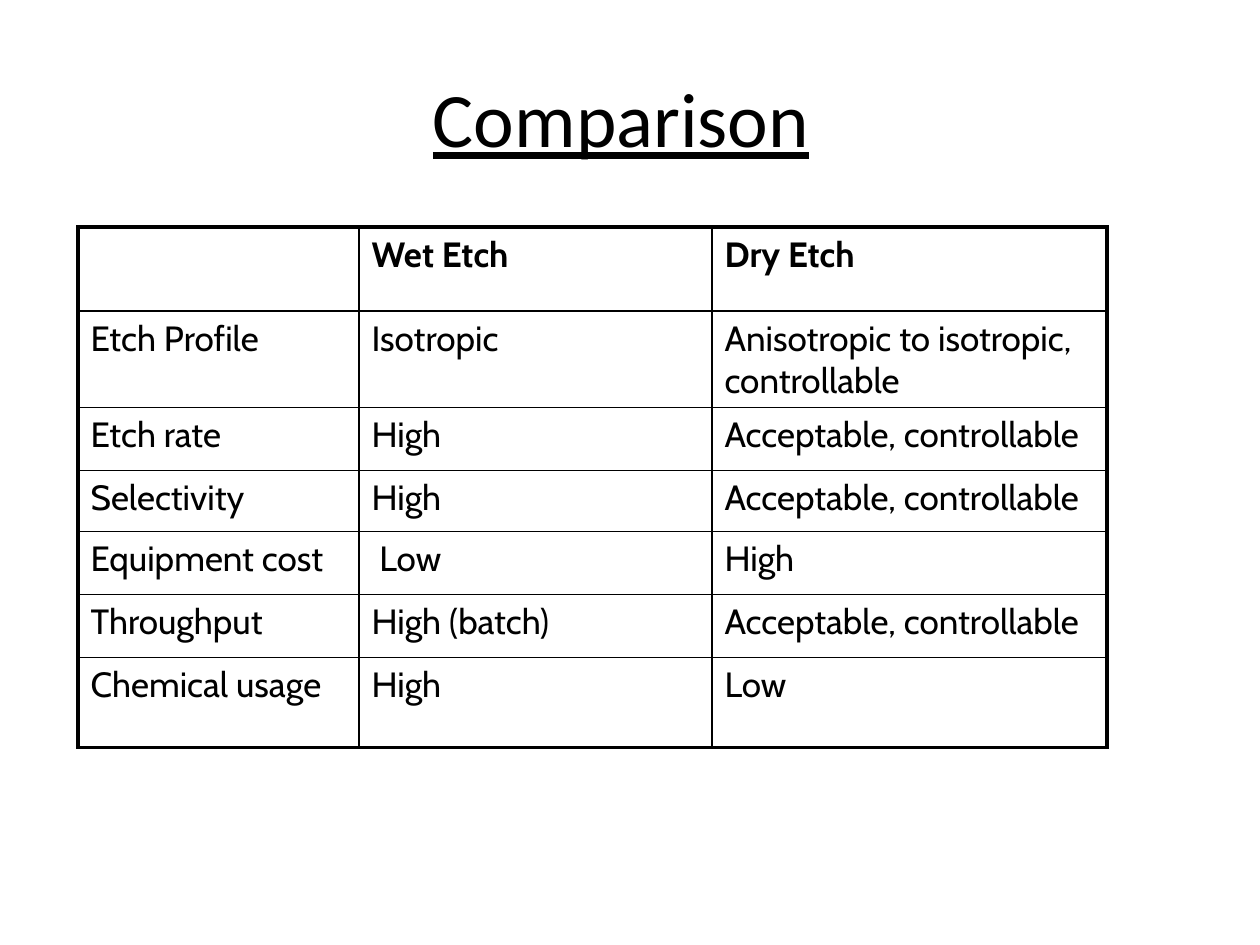
"""Build the slide that compares wet and dry etching."""
from lxml.etree import SubElement
from pptx import Presentation
from pptx.dml.color import RGBColor
from pptx.enum.text import MSO_ANCHOR as Anchor, PP_ALIGN as Align
from pptx.oxml.ns import qn
from pptx.util import Emu, Pt

BLACK = RGBColor(0, 0, 0)
TITLE = "Comparison"
COMPARISON = [
    ("", "Wet Etch", "Dry Etch"),
    ("Etch Profile", "Isotropic", "Anisotropic to isotropic, controllable"),
    ("Etch rate", "High", "Acceptable, controllable"),
    ("Selectivity", "High", "Acceptable, controllable"),
    ("Equipment cost", " Low", "High"),
    ("Throughput", "High (batch)", "Acceptable, controllable"),
    ("Chemical usage", "High", "Low"),
]

SLIDE_SIZE = (1260, 945)
TITLE_BOX = (63, 38, 1134, 158)
TABLE_LEFT, TABLE_TOP = 78, 227
COLUMN_WIDTHS = [281, 353, 395]
ROW_HEIGHTS = [84, 95, 63, 61, 63, 63, 90]
INNER_LINE, OUTER_LINE = Pt(1), Pt(2.25)


def px(length):
    return Emu(round(length * 914400 / 126))


def write(paragraph, text, size=20, font="Cabin", bold=False, underline=False):
    run = paragraph.add_run()
    run.text = text
    run.font.size = Pt(size)
    run.font.name = font
    run.font.bold = bold
    run.font.underline = underline
    run.font.color.rgb = BLACK


def draw_borders(cell, outer_sides):
    properties = cell._tc.get_or_add_tcPr()
    for side, is_outer in outer_sides.items():
        width = OUTER_LINE if is_outer else INNER_LINE
        border = SubElement(properties, qn(f"a:ln{side}"), w=str(width))
        fill = SubElement(border, qn("a:solidFill"))
        SubElement(fill, qn("a:srgbClr"), val=str(BLACK))


def add_title(slide):
    frame = slide.shapes.add_textbox(*map(px, TITLE_BOX)).text_frame
    frame.word_wrap = True
    frame.vertical_anchor = Anchor.MIDDLE
    heading = frame.paragraphs[0]
    heading.alignment = Align.CENTER
    write(heading, TITLE, size=44, font="Calibri", underline=True)
    write(heading, " ", size=44, font="Calibri")


def add_comparison(slide):
    last_row, last_column = len(ROW_HEIGHTS) - 1, len(COLUMN_WIDTHS) - 1
    bounds = (TABLE_LEFT, TABLE_TOP, sum(COLUMN_WIDTHS), sum(ROW_HEIGHTS))
    table = slide.shapes.add_table(
        len(ROW_HEIGHTS), len(COLUMN_WIDTHS), *map(px, bounds)).table
    table.first_row = table.horz_banding = False
    for column, width in zip(table.columns, COLUMN_WIDTHS):
        column.width = px(width)
    for row, height in zip(table.rows, ROW_HEIGHTS):
        row.height = px(height)
    for r, entries in enumerate(COMPARISON):
        for c, entry in enumerate(entries):
            cell = table.cell(r, c)
            draw_borders(cell, {"L": c == 0, "R": c == last_column,
                                "T": r == 0, "B": r == last_row})
            cell.fill.background()
            if entry:
                write(cell.text_frame.paragraphs[0], entry, bold=r == 0)


def main():
    deck = Presentation()
    deck.slide_width, deck.slide_height = map(px, SLIDE_SIZE)
    slide = deck.slides.add_slide(deck.slide_layouts[6])
    add_title(slide)
    add_comparison(slide)
    deck.save("out.pptx")


if __name__ == "__main__":
    main()
